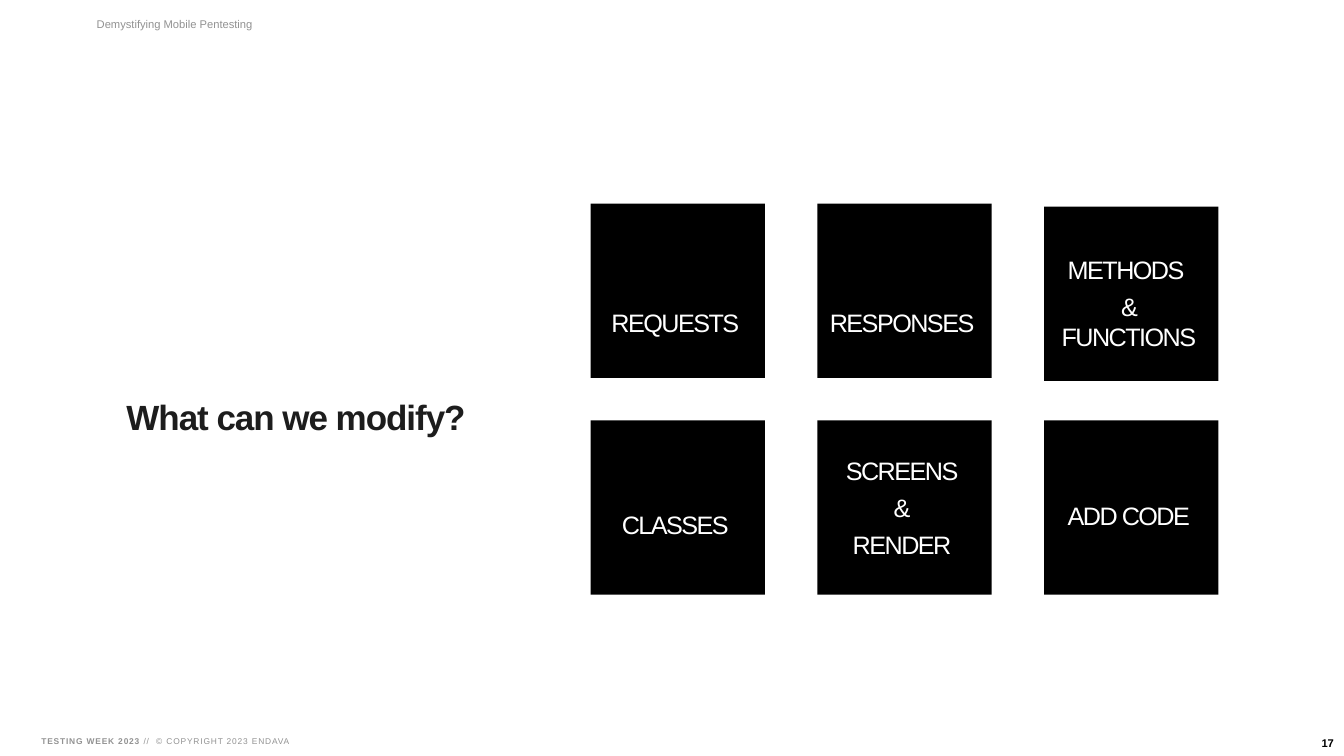
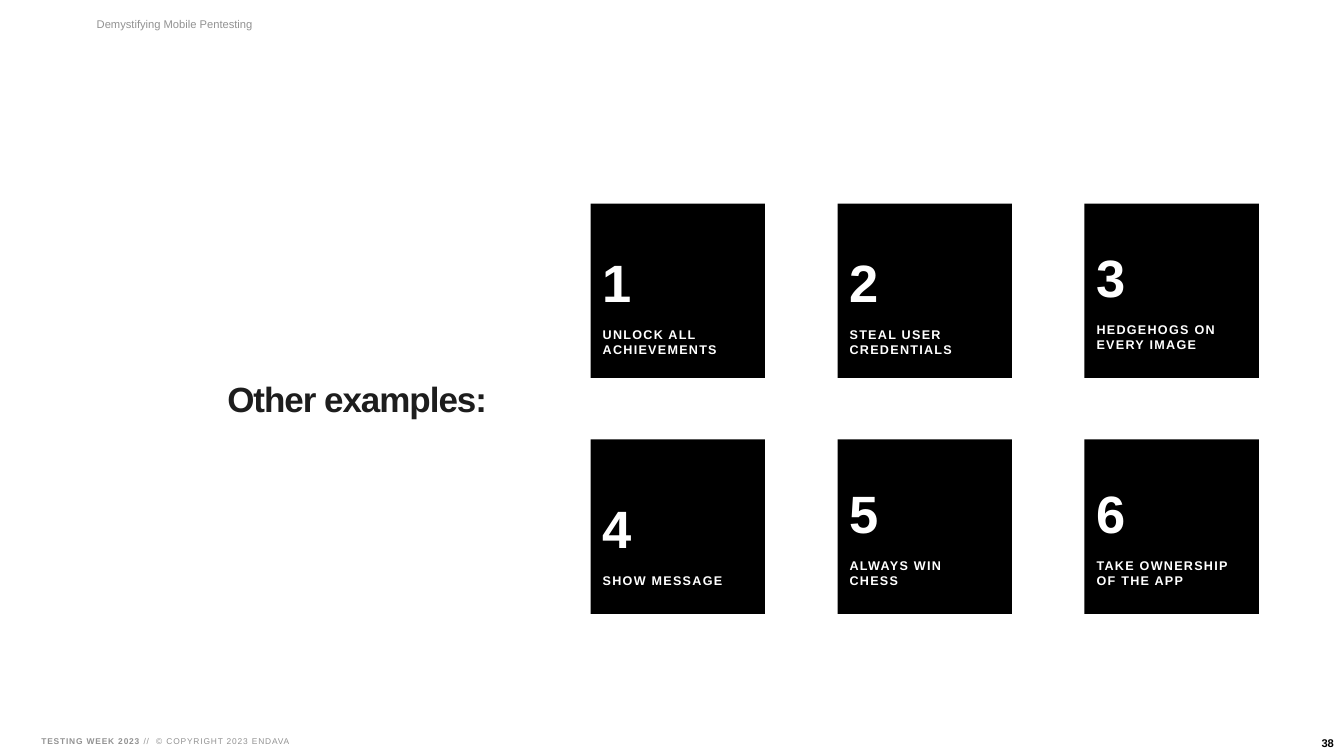
from dataclasses import dataclass

from pptx import Presentation
from pptx.dml.color import RGBColor
from pptx.enum.shapes import MSO_SHAPE
from pptx.enum.text import MSO_ANCHOR, PP_ALIGN
from pptx.util import Inches, Pt


@dataclass(frozen=True)
class Theme:
    font: str = "Arial"
    black: str = "000000"
    white: str = "FFFFFF"
    title_color: str = "1D1D1D"
    muted: str = "929292"
    title_size: int = 50
    number_size: int = 75
    word_size: int = 36
    caption_size: int = 18
    small_size: int = 16
    footer_size: int = 12
    tile_size: float = 3.46


THEME = Theme()
TITLE = {"size": THEME.title_size, "color": THEME.title_color, "bold": True, "tracking": -1.5}
HEADER = {"size": THEME.small_size, "color": THEME.muted}
FOOTER = {"size": THEME.footer_size, "color": THEME.muted, "tracking": 1.2}
PAGE_NUMBER = {"size": THEME.small_size, "color": THEME.black, "bold": True}
WORD = {"size": THEME.word_size, "color": THEME.white, "tracking": -2.2}
NUMBER = {"size": THEME.number_size, "color": THEME.white, "bold": True, "tracking": -2.2}
CAPTION = {"size": THEME.caption_size, "color": THEME.white, "bold": True, "tracking": 1.8}

GRID_ORIGIN = (11.72, 4.04)
COLUMNS = 3
WORD_LIFT = 0.58
CAPTION_LIFT = 0.29
TIGHT_CAPTION_LIFT = 0.2

MODIFIABLE = [
    (["REQUESTS"], 2.72, WORD_LIFT, 0),
    (["RESPONSES"], 2.72, WORD_LIFT, 0),
    (["METHODS ", "& FUNCTIONS"], 2.94, WORD_LIFT, 0.06),
    (["CLASSES"], 2.42, WORD_LIFT, 0),
    (["SCREENS", "&", "RENDER"], 2.25, 0, 0),
    (["ADD CODE"], 2.25, WORD_LIFT, 0),
]
EXAMPLES = [
    ("UNLOCK ALL ACHIEVEMENTS", TIGHT_CAPTION_LIFT),
    ("STEAL USER CREDENTIALS", TIGHT_CAPTION_LIFT),
    ("HEDGEHOGS ON EVERY IMAGE", CAPTION_LIFT),
    ("SHOW MESSAGE", CAPTION_LIFT),
    ("ALWAYS WIN CHESS", CAPTION_LIFT),
    ("TAKE OWNERSHIP OF THE APP", CAPTION_LIFT),
]


def add_run(paragraph, text, style):
    run = paragraph.add_run()
    run.text = text
    values = {"name": THEME.font, "size": Pt(style["size"]), "bold": style.get("bold", False)}
    for attribute, value in values.items():
        setattr(run.font, attribute, value)
    run.font.color.rgb = RGBColor.from_string(style["color"])
    if "tracking" in style:
        run._r.get_or_add_rPr().set("spc", str(round(style["tracking"] * 100)))


def add_text(shapes, box, paragraphs, inset=0.0, lift=0.0, anchor=MSO_ANCHOR.MIDDLE,
             wrap=True, **paragraph_format):
    frame = shapes.add_textbox(*map(Inches, box)).text_frame
    values = {
        "word_wrap": wrap,
        "vertical_anchor": anchor,
        "margin_left": Inches(inset),
        "margin_right": Inches(inset),
        "margin_top": Inches(inset),
        "margin_bottom": Inches(inset + lift),
    }
    for attribute, value in values.items():
        setattr(frame, attribute, value)
    for index, (runs, space_before) in enumerate(paragraphs):
        paragraph = frame.add_paragraph() if index else frame.paragraphs[0]
        for attribute, value in {"space_before": Pt(space_before), **paragraph_format}.items():
            setattr(paragraph, attribute, value)
        for text, style in runs:
            add_run(paragraph, text, style)


def add_tile(slide, left, top, paragraphs, text_height, lift, alignment):
    group = slide.shapes.add_group_shape()
    square = group.shapes.add_shape(
        MSO_SHAPE.RECTANGLE, *map(Inches, (left, top, THEME.tile_size, THEME.tile_size)))
    square.shadow.inherit = False
    square.fill.solid()
    square.fill.fore_color.rgb = RGBColor.from_string(THEME.black)
    square.line.fill.background()
    add_text(group.shapes, (left + 0.24, top + 0.52, 2.88, text_height), paragraphs,
             lift=lift, anchor=MSO_ANCHOR.BOTTOM, alignment=alignment)


def grid_position(index, column_step, row_step):
    row, column = divmod(index, COLUMNS)
    left, top = GRID_ORIGIN
    return left + column * column_step, top + row * row_step


def add_page(presentation, title, title_box, page_number):
    slide = presentation.slides.add_slide(presentation.slide_layouts[6])
    shapes = slide.shapes
    footer = [("TESTING WEEK 2023 ", {**FOOTER, "bold": True}),
              ("//  © COPYRIGHT 2023 ENDAVA", FOOTER)]
    add_text(shapes, (0.74, 14.55, 23.32, 0.35), [(footer, 0)], inset=0.08, line_spacing=0.9)
    add_text(shapes, title_box, [([(title, TITLE)], 0)], inset=0.06, line_spacing=0.8)
    add_text(shapes, (26.13, 14.53, 0.42, 0.42), [([(page_number, PAGE_NUMBER)], 0)],
             inset=0.08, anchor=MSO_ANCHOR.TOP, wrap=False, alignment=PP_ALIGN.RIGHT)
    add_text(shapes, (1.86, 0.23, 5.77, 0.5),
             [([("Demystifying Mobile Pentesting", HEADER)], 0)], inset=0.06)
    return slide


def add_word_tiles(slide):
    for index, (lines, text_height, lift, drop) in enumerate(MODIFIABLE):
        left, top = grid_position(index, 4.5, 4.3)
        paragraphs = [([(line, WORD)], 10 if row else 0) for row, line in enumerate(lines)]
        add_tile(slide, left, top + drop, paragraphs, text_height, lift, PP_ALIGN.CENTER)


def add_numbered_tiles(slide):
    for index, (caption, lift) in enumerate(EXAMPLES):
        left, top = grid_position(index, 4.9, 4.68)
        paragraphs = [([(str(index + 1), NUMBER)], 0), ([(caption, CAPTION)], 20)]
        add_tile(slide, left, top, paragraphs, 2.72, lift, PP_ALIGN.LEFT)


def main():
    presentation = Presentation()
    presentation.slide_width = Inches(26.67)
    presentation.slide_height = Inches(15)
    add_word_tiles(add_page(presentation, "What can we modify?", (2.45, 7.94, 7.16, 0.79), "17"))
    add_numbered_tiles(add_page(presentation, "Other examples:", (4.45, 7.59, 5.38, 0.79), "38"))
    presentation.save("out.pptx")


if __name__ == "__main__":
    main()
